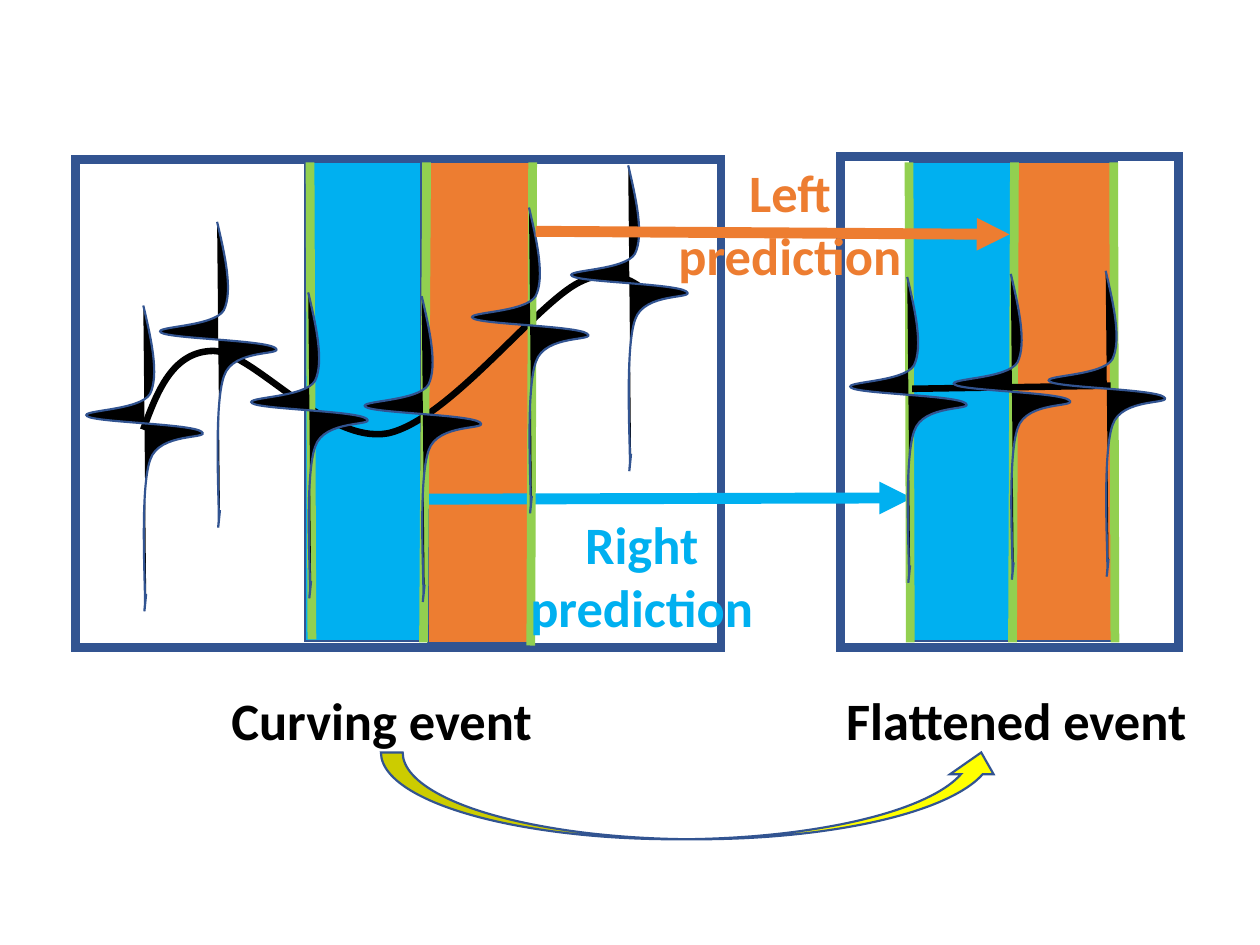
from dataclasses import dataclass
from math import cos, radians, sin

from lxml.etree import SubElement
from pptx import Presentation
from pptx.dml.color import RGBColor as Rgb
from pptx.enum.shapes import MSO_CONNECTOR as Link, MSO_SHAPE as Form
from pptx.enum.text import MSO_AUTO_SIZE as Fit, PP_ALIGN as Align
from pptx.oxml.ns import qn
from pptx.util import Cm, Pt


@dataclass(frozen=True)
class Theme:
    font: str = "Calibri"
    size: int = 24
    ink: str = "000000"
    navy: str = "325491"
    blue: str = "00B0F0"
    orange: str = "ED7D31"
    green: str = "92D050"
    yellow: str = "FFFF00"
    thin: int = 1
    curve: int = 3
    edge: int = 4
    arrow: int = 5


TILT = 4.4
UNIT = 0.01
WAVE_SIZE = (1.85, 4.93)
WAVE = [
    (0.86, 0), (0.99, 0.56), (1.12, 1.12), (0.97, 1.42),
    (0.81, 1.7), (-0.18, 1.68), (-0.05, 1.78),
    (0.08, 1.88), (1.63, 1.9), (1.8, 2.03),
    (1.96, 2.16), (1.12, 2.03), (0.97, 2.49),
    (0.81, 2.95), (0.89, 4.44), (0.89, 4.8),
    (0.86, 5.16), (0.91, 4.65), (0.91, 4.65),
]
EVENT_BOX = (2.31, 4.45, 8.23, 2.54)
EVENT = [
    (0, 2.48), (0.23, 1.85), (0.48, 1.21), (1.14, 1.21),
    (1.8, 1.24), (2.95, 2.71), (3.94, 2.54),
    (4.93, 2.33), (6.33, 0.45), (7.04, 0.1),
    (7.75, -0.26), (8.23, 0.38), (8.23, 0.38),
]


def turn(points, size, angle):
    c, s = cos(radians(angle)), sin(radians(angle))
    mx, my = size[0] / 2, size[1] / 2
    return [(mx + (x - mx) * c - (y - my) * s, my + (x - mx) * s + (y - my) * c)
            for x, y in points]


def write(frame, text, font, size, color, bold=True, align=Align.CENTER):
    for i, words in enumerate(text.split("\n")):
        para = frame.add_paragraph() if i else frame.paragraphs[0]
        para.alignment = align
        run = para.add_run()
        run.text = words
        run.font.name = font
        run.font.size = Pt(size)
        run.font.bold = bold
        run.font.color.rgb = Rgb.from_string(color)


class Sketch:
    def __init__(self, slide, theme):
        self.shapes = slide.shapes
        self.theme = theme

    def paint(self, shape, fill, line, width):
        shape.shadow.inherit = False
        if fill:
            shape.fill.solid()
            shape.fill.fore_color.rgb = Rgb.from_string(fill)
        else:
            shape.fill.background()
        shape.line.color.rgb = Rgb.from_string(line)
        shape.line.width = Pt(width)
        SubElement(shape.line._get_or_add_ln(), qn("a:miter"), lim="800000")
        return shape

    def block(self, box, fill=None, width=None, form=Form.RECTANGLE):
        shape = self.shapes.add_shape(form, *map(Cm, box))
        return self.paint(shape, fill, self.theme.navy, width or self.theme.thin)

    def bend(self, box, knots):
        left, top, width, high = box
        pen = self.shapes.build_freeform(0, 0, scale=Cm(UNIT))
        pen.add_line_segments([(width / UNIT, high / UNIT)], close=False)
        shape = pen.convert_to_shape(Cm(left), Cm(top))
        track = next(shape._element.iter(qn("a:path")))
        for part in list(track):
            track.remove(part)
        for i, (x, y) in enumerate(knots):
            if i % 3 == 0 and i:
                pass
            if i == 0:
                step = SubElement(track, qn("a:moveTo"))
            elif i % 3 == 1:
                step = SubElement(track, qn("a:cubicBezTo"))
            SubElement(step, qn("a:pt"), x=str(round(x / UNIT)), y=str(round(y / UNIT)))
        return shape

    def event(self):
        self.paint(self.bend(EVENT_BOX, EVENT), None, self.theme.ink, self.theme.curve)

    def wave(self, place):
        shape = self.bend(place + WAVE_SIZE, turn(WAVE, WAVE_SIZE, TILT))
        self.paint(shape, self.theme.ink, self.theme.navy, self.theme.thin)
        shape.rotation = 360 - TILT

    def line(self, start, end, color, width, head=False):
        link = self.shapes.add_connector(Link.STRAIGHT, *map(Cm, start + end))
        link.line.color.rgb = Rgb.from_string(color)
        link.line.width = Pt(width)
        if head:
            SubElement(link.line._get_or_add_ln(), qn("a:tailEnd"), type="triangle")
        SubElement(link._element.spPr, qn("a:effectLst"))

    def label(self, box, text, color):
        frame = self.shapes.add_textbox(*map(Cm, box)).text_frame
        frame.word_wrap = False
        frame.auto_size = Fit.SHAPE_TO_FIT_TEXT
        write(frame, text, font=self.theme.font, size=self.theme.size, color=color)


def main():
    deck = Presentation()
    deck.slide_width, deck.slide_height = Cm(20.32), Cm(15.24)
    theme = Theme()
    art = Sketch(deck.slides.add_slide(deck.slide_layouts[6]), theme)

    for frame in [(1.22, 2.57, 10.41, 7.87), (13.55, 2.52, 5.46, 7.92)]:
        art.block(frame, width=theme.edge)
    for left, width, high, color in [
        (4.92, 1.88, 7.72, theme.blue), (6.91, 1.65, 7.75, theme.orange),
        (14.68, 1.7, 7.72, theme.blue), (16.38, 1.63, 7.72, theme.orange),
    ]:
        art.block((left, 2.62, width, high), color)

    art.event()
    art.line((6.81, 8.05), (14.71, 8.03), theme.blue, theme.arrow, head=True)
    for top, foot, end in [
        (5, 5.03, 10.31), (6.88, 6.83, 10.36), (8.59, 8.56, 10.41),
        (14.66, 14.68, 10.36), (16.36, 16.33, 10.36), (17.96, 17.98, 10.36),
    ]:
        art.line((top, 2.62), (foot, end), theme.green, theme.edge)
    art.line((14.71, 6.27), (17.91, 6.22), theme.ink, theme.curve)

    for place in [
        (1.45, 4.93), (2.64, 3.58), (4.11, 4.72), (5.94, 4.78), (7.67, 3.35),
        (9.27, 2.67), (16.97, 4.37), (15.44, 4.42), (13.77, 4.47),
    ]:
        art.wave(place)

    for box, text, color in [
        ((10.67, 2.46, 4.14, 2.31), "Left\nprediction", theme.orange),
        ((8.28, 8.13, 4.14, 2.31), "Right\nprediction", theme.blue),
        ((3.45, 10.97, 5.41, 1.27), "Curving event", theme.ink),
        ((13.34, 10.97, 6.1, 1.27), "Flattened event", theme.ink),
    ]:
        art.label(box, text, color)

    art.line((8.64, 3.73), (16.28, 3.78), theme.orange, theme.arrow, head=True)
    sweep = art.block((10.46, 7.82, 1.4, 10.03), theme.yellow, form=Form.CURVED_RIGHT_ARROW)
    sweep.rotation = 270
    deck.save("out.pptx")


if __name__ == "__main__":
    main()
